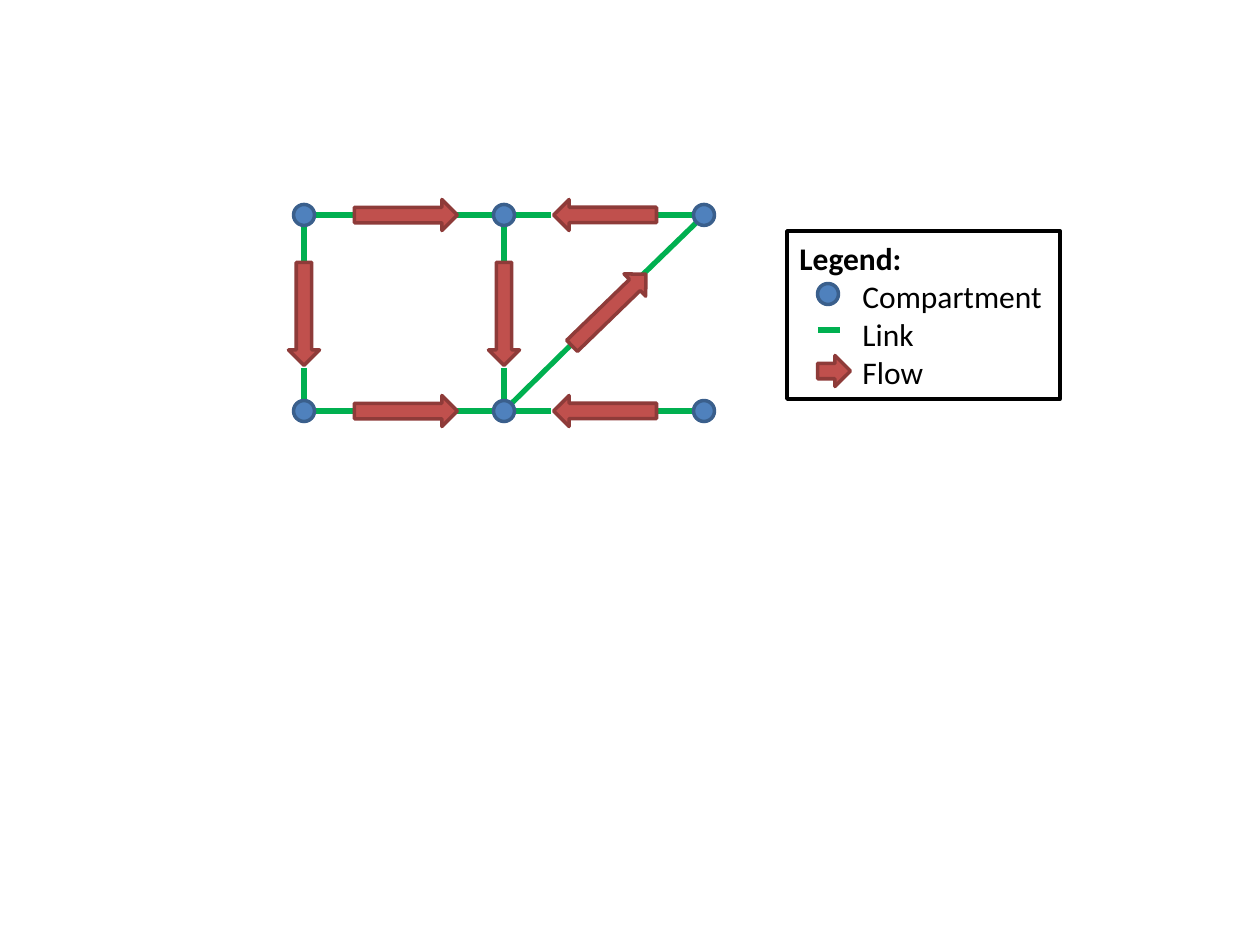
import dataclasses

import pptx
import pptx.dml.color
import pptx.enum.shapes
import pptx.enum.text
import pptx.oxml.ns
import pptx.util
from lxml import etree

PX = 914400 / 126
SHAPE = pptx.enum.shapes.MSO_SHAPE
COLUMNS = (304, 504, 704)
ROWS = (215, 411)
NODE = 21
ARROW_W, ARROW_L = 31, 103


@dataclasses.dataclass(frozen=True)
class Theme:
    """Hold the colours, type and line widths of the slide."""
    font: str = "Calibri"
    size: int = 18
    text: str = "000000"
    paper: str = "FFFFFF"
    node: str = "4F81BD"
    node_edge: str = "3A5F8C"
    link: str = "00B050"
    flow: str = "C0504D"
    flow_edge: str = "8E3B39"
    edge_w: int = 2
    link_w: int = 3


T = Theme()


def px(n):
    """Turn picture pixels into EMU."""
    return pptx.util.Emu(round(n * PX))


def rgb(value):
    """Return a colour from its hex text."""
    return pptx.dml.color.RGBColor.from_string(value)


def add_shape(s, kind, x, y, w, h, fill, edge, rotation=0):
    """Add a filled, outlined preset shape."""
    sp = s.shapes.add_shape(kind, px(x), px(y), px(w), px(h))
    sp.shadow.inherit = False
    sp.fill.solid()
    sp.fill.fore_color.rgb = rgb(fill)
    sp.line.color.rgb = rgb(edge)
    sp.line.width = pptx.util.Pt(T.edge_w)
    sp.rotation = rotation
    return sp


def add_node(s, cx, cy):
    """Add a compartment circle around a centre."""
    add_shape(s, SHAPE.OVAL, cx - NODE / 2, cy - NODE / 2, NODE, NODE, T.node, T.node_edge)


def add_flow(s, cx, cy, rotation=0, length=ARROW_L):
    """Add a flow arrow around a centre, pointing down before rotation."""
    add_shape(s, SHAPE.DOWN_ARROW, cx - ARROW_W / 2, cy - length / 2,
              ARROW_W, length, T.flow, T.flow_edge, rotation)


def add_link(s, x1, y1, x2, y2):
    """Add a straight link line."""
    c = s.shapes.add_connector(pptx.enum.shapes.MSO_CONNECTOR.STRAIGHT,
                               px(x1), px(y1), px(x2), px(y2))
    c.line.color.rgb = rgb(T.link)
    c.line.width = pptx.util.Pt(T.link_w)
    etree.SubElement(c._element.spPr, pptx.oxml.ns.qn("a:effectLst"))


def add_text(p, text, bold=False, indent=0):
    """Write a formatted run into a left-aligned paragraph."""
    p.alignment = pptx.enum.text.PP_ALIGN.LEFT
    pPr = p._p.get_or_add_pPr()
    pPr.set("marL", "0")
    pPr.set("indent", str(px(indent)))
    r = p.add_run()
    r.text = text
    r.font.name = T.font
    r.font.size = pptx.util.Pt(T.size)
    r.font.bold = bold
    r.font.color.rgb = rgb(T.text)


def add_legend(s):
    """Add the legend box with its three keys."""
    sp = add_shape(s, SHAPE.RECTANGLE, 787, 231, 273, 168, T.paper, T.text)
    tf = sp.text_frame
    tf.word_wrap = True
    tf.vertical_anchor = pptx.enum.text.MSO_ANCHOR.MIDDLE
    add_text(tf.paragraphs[0], "Legend:", bold=True)
    for label in ("Compartment", "Link", "Flow"):
        add_text(tf.add_paragraph(), label, indent=63)
    add_node(s, 828, 294)
    add_link(s, 818, 330, 840, 330)
    add_flow(s, 834, 371, 270, 33)


def add_network(s):
    """Add the compartments with their links and flows."""
    left, middle, right = COLUMNS
    top, bottom = ROWS
    for y in ROWS:
        for x1, x2 in ((315, 353), (457, 494), (514, 551), (656, 693)):
            add_link(s, x1, y, x2, y)
    for x in (left, middle):
        for y1, y2 in ((226, 262), (368, 401)):
            add_link(s, x, y1, x, y2)
    add_link(s, 512, 403, 577, 339)
    add_link(s, 630, 287, 696, 223)
    for y in ROWS:
        for x in COLUMNS:
            add_node(s, x, y)
        add_flow(s, 406, y, 270)
        add_flow(s, 605, y, 90)
    for x in (left, middle):
        add_flow(s, x, (top + bottom) / 2 + 1)
    add_flow(s, 609, 310, 225.9)


def main():
    """Build and save the slide."""
    prs = pptx.Presentation()
    prs.slide_width = pptx.util.Inches(10)
    prs.slide_height = pptx.util.Inches(7.5)
    s = prs.slides.add_slide(prs.slide_layouts[6])
    add_network(s)
    add_legend(s)
    prs.save("out.pptx")


main()
